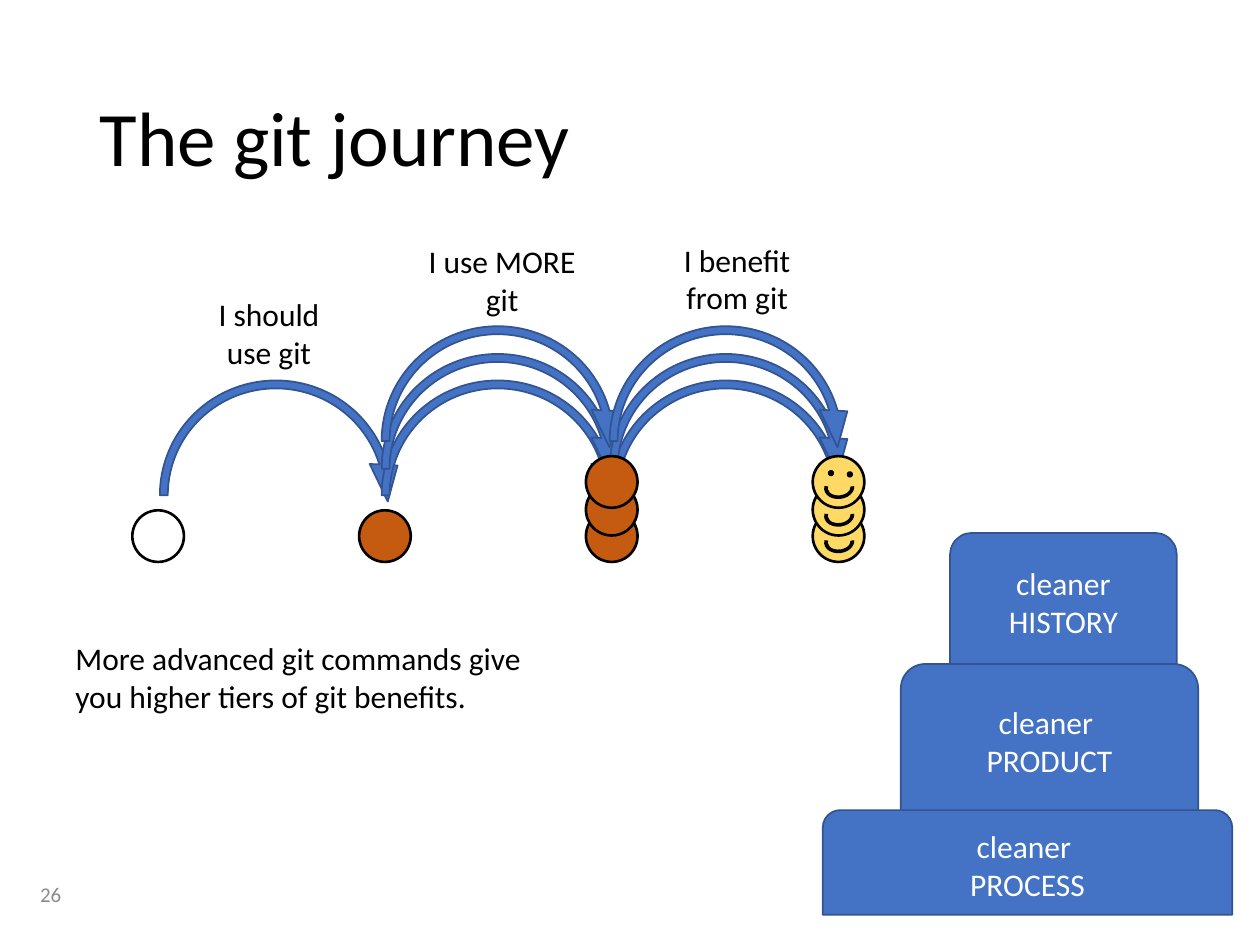
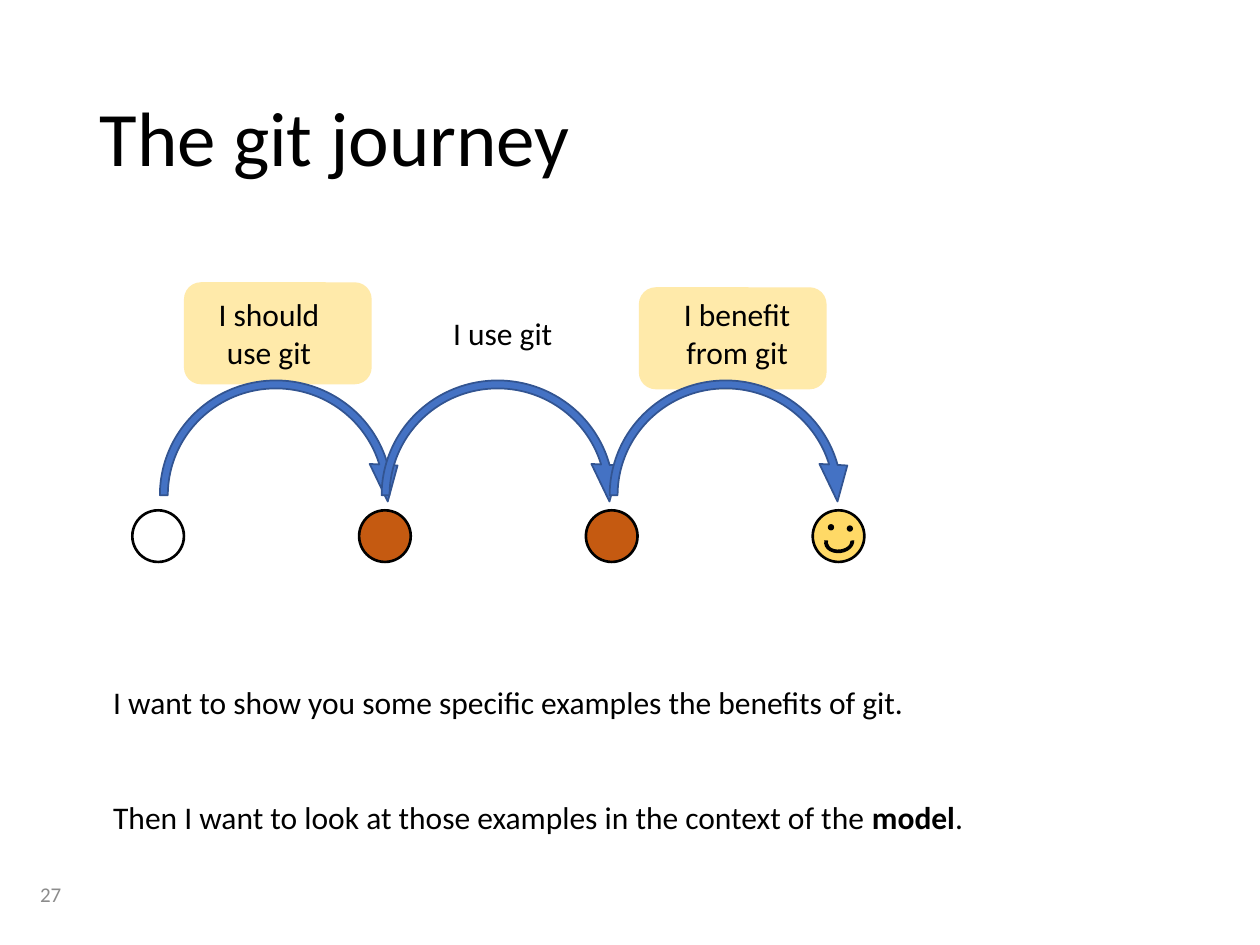
from lxml import etree
from pptx import Presentation
from pptx.dml.color import RGBColor
from pptx.enum.shapes import MSO_SHAPE
from pptx.enum.text import MSO_ANCHOR, MSO_AUTO_SIZE, PP_ALIGN
from pptx.oxml.ns import qn
from pptx.util import Inches, Pt

OVAL, ARC, ARROW = MSO_SHAPE.OVAL, MSO_SHAPE.BLOCK_ARC, MSO_SHAPE.CIRCULAR_ARROW
ROUNDED, TIER = MSO_SHAPE.ROUNDED_RECTANGLE, MSO_SHAPE.ROUND_2_SAME_RECTANGLE
LEFT, CENTER = PP_ALIGN.LEFT, PP_ALIGN.CENTER
TOP, MIDDLE = MSO_ANCHOR.TOP, MSO_ANCHOR.MIDDLE
NO_FIT = MSO_AUTO_SIZE.NONE

FONT = "Calibri"
COLORS = {
    "text": "000000", "white": "FFFFFF", "number": "8C8C8C",
    "blue": "4472C4", "blue_line": "325491",
    "orange": "C55A11", "yellow": "FFD966", "highlight": "FFE699",
}

ARROW_ADJ = [0.032, 11.423, 206.521, 108, 0.056]
SMILE_ADJ = [108.776, 7.95, 0.16]
DOT, DOT_Y, STEP = 0.41, 4.05, 1.8
START_X, USE_X, MORE_X, BENEFIT_X = [1.05 + STEP * i for i in range(4)]
ARROW_X, ARROW_Y = [1.19, 2.95, 4.76], 2.94


def add_shape(s, kind, x, y, w, h, fill=None, line=None, width=1.5):
    sp = s.shapes.add_shape(kind, Inches(x), Inches(y), Inches(w), Inches(h))
    sp.shadow.inherit = False
    if fill:
        sp.fill.solid()
        sp.fill.fore_color.rgb = RGBColor.from_string(COLORS[fill])
    else:
        sp.fill.background()
    if line:
        sp.line.color.rgb = RGBColor.from_string(COLORS[line])
        sp.line.width = Pt(width)
    else:
        sp.line.fill.background()
    return sp


def set_text(sp, text, size=18, color="text", align=LEFT, anchor=TOP):
    tf = sp.text_frame
    tf.text = text
    tf.word_wrap = True
    tf.auto_size = NO_FIT
    tf.vertical_anchor = anchor
    for p in tf.paragraphs:
        p.alignment = align
        for r in p.runs:
            r.font.name = FONT
            r.font.size = Pt(size)
            r.font.color.rgb = RGBColor.from_string(COLORS[color])
    return tf


prs = Presentation()
prs.slide_width, prs.slide_height = Inches(10), Inches(7.5)

# What differs in the journey: number, heights of the repeats, labels, highlights
slides = [
    {"number": "26", "lifts": [0, 0.21, 0.43], "highlights": [],
     "labels": [("I should use git", 1.55, 2.29, 1.17, 0.71),
                ("I use MORE git", 3.2, 1.87, 1.57, 0.71),
                ("I benefit from git", 5.24, 1.86, 1.22, 0.71)]},
    {"number": "27", "lifts": [0], "highlights": [(1.46, 2.24), (5.07, 2.28)],
     "labels": [("I should use git", 1.55, 2.29, 1.17, 0.71),
                ("I use git", 3.38, 2.44, 1.22, 0.4),
                ("I benefit from git", 5.24, 2.29, 1.22, 0.71)]},
]

for spec_row in slides:
    s = prs.slides.add_slide(prs.slide_layouts[5])

    # Title
    title = s.shapes.title
    title.left, title.top = Inches(0.69), Inches(0.4)
    title.width, title.height = Inches(8.62), Inches(1.45)
    tf = set_text(title, "The git journey", size=44, anchor=MIDDLE)
    tf.paragraphs[0].line_spacing = 0.9

    # Highlights behind the labels
    for x, y in spec_row["highlights"]:
        sp = add_shape(s, ROUNDED, x, y, 1.49, 0.81, "highlight")
        color = sp.fill._xPr.find(qn("a:solidFill"))[0]
        etree.SubElement(color, qn("a:alpha")).set("val", "83000")

    # First step
    add_shape(s, OVAL, START_X, DOT_Y, DOT, DOT, None, "text")
    add_shape(s, OVAL, USE_X, DOT_Y, DOT, DOT, "orange", "text")
    arrows = [add_shape(s, ARROW, ARROW_X[0], ARROW_Y, 2, 1.98, "blue", "blue_line", 1)]

    # Second and third steps, once for each lift
    for lift in spec_row["lifts"]:
        y = DOT_Y - lift
        add_shape(s, OVAL, MORE_X, y, DOT, DOT, "orange", "text")
        for x in ARROW_X[1:]:
            arrows.append(add_shape(s, ARROW, x, ARROW_Y - lift, 2, 1.98,
                                    "blue", "blue_line", 1))
        add_shape(s, OVAL, BENEFIT_X, y, DOT, DOT, "yellow", "text")
        add_shape(s, OVAL, BENEFIT_X + 0.12, y + 0.11, 0.05, 0.05, "text")
        add_shape(s, OVAL, BENEFIT_X + 0.27, y + 0.12, 0.05, 0.05, "text")
        smile = add_shape(s, ARC, BENEFIT_X + 0.09, y + 0.16, 0.24, 0.18, "text")
        smile.rotation = 173
        for i, value in enumerate(SMILE_ADJ):
            smile.adjustments[i] = value
    for arrow in arrows:
        for i, value in enumerate(ARROW_ADJ):
            arrow.adjustments[i] = value

    # Step labels
    for text, x, y, w, h in spec_row["labels"]:
        sp = s.shapes.add_textbox(Inches(x), Inches(y), Inches(w), Inches(h))
        set_text(sp, text, align=CENTER)

    # Slide number
    sp = s.shapes.add_textbox(Inches(0.22), Inches(6.9), Inches(2.25), Inches(0.4))
    set_text(sp, spec_row["number"], size=12, color="number", anchor=MIDDLE)

benefits, outlook = prs.slides

# Tiers of benefits, from the bottom up
for text, x, y, w, h in [("cleaner \vPROCESS", 6.53, 6.43, 3.25, 0.83),
                         ("cleaner \vPRODUCT", 7.15, 5.27, 2.36, 1.16),
                         ("cleaner HISTORY", 7.54, 4.23, 1.8, 1.04)]:
    sp = add_shape(benefits, TIER, x, y, w, h, "blue", "blue_line", 1)
    set_text(sp, text, color="white", align=CENTER, anchor=MIDDLE)

sp = benefits.shapes.add_textbox(Inches(0.5), Inches(5.02), Inches(3.87), Inches(0.71))
set_text(sp, "More advanced git commands give you higher tiers of git benefits.")

# Outlook on the second slide
sp = outlook.shapes.add_textbox(Inches(0.8), Inches(5.37), Inches(7.3), Inches(1.31))
tf = set_text(sp, "I want to show you some specific examples the benefits of git.\n"
                  "Then I want to look at those examples in the context of the ")
p = tf.paragraphs[1]
p.space_before = Pt(44)
for text, bold in [("model", True), (".", False)]:
    r = p.add_run()
    r.text = text
    r.font.name, r.font.size, r.font.bold = FONT, Pt(18), bold
    r.font.color.rgb = RGBColor.from_string(COLORS["text"])

prs.save("out.pptx")
